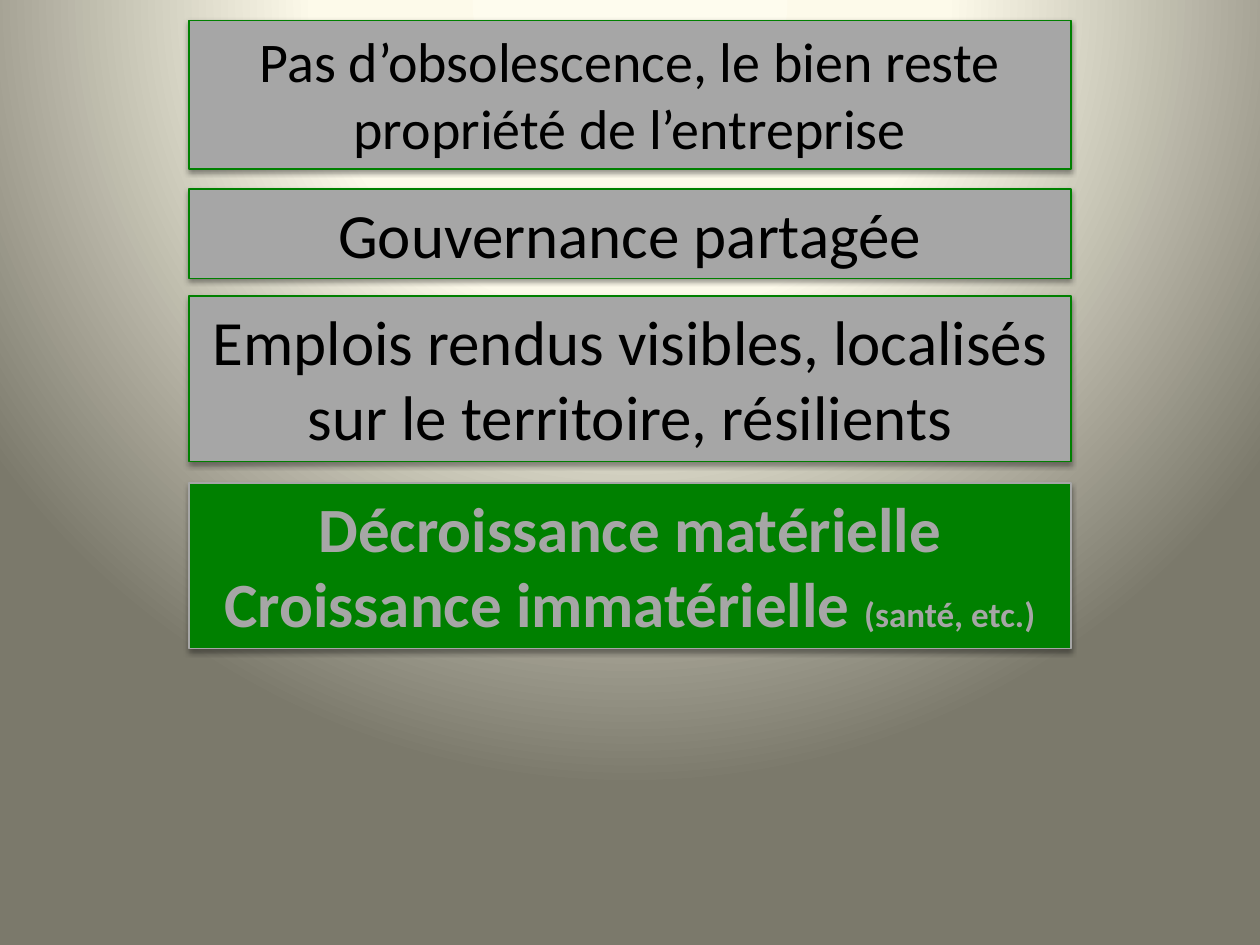
import pptx
import pptx.dml.color
import pptx.enum.shapes
import pptx.enum.text
import pptx.oxml
import pptx.oxml.ns
import pptx.util
from dataclasses import dataclass

Cm = pptx.util.Cm
Pt = pptx.util.Pt


@dataclass(frozen=True)
class Theme:
    font: str = "Calibri"
    grey: str = "A6A6A6"
    green: str = "008000"
    black: str = "000000"
    glow: tuple = ((0, "FEFCEE"), (40, "FDFAEA"), (100, "7B796B"))
    large: int = 36
    medium: int = 32
    small: int = 20


theme = Theme()
rgb = pptx.dml.color.RGBColor.from_string
namespace = pptx.oxml.ns.nsdecls("a")

deck = pptx.Presentation()
deck.slide_width, deck.slide_height = Cm(25.4), Cm(19.05)
page = deck.slides.add_slide(deck.slide_layouts[6])

# Background: a circular glow centred above the page
page.background.fill.gradient()
gradient = page.element.find(".//" + pptx.oxml.ns.qn("a:gradFill"))
stops = "".join(
    f'<a:gs pos="{position * 1000}"><a:srgbClr val="{colour}"/></a:gs>'
    for position, colour in theme.glow
)
gradient.getparent().replace(gradient, pptx.oxml.parse_xml(
    f'<a:gradFill {namespace} rotWithShape="1"><a:gsLst>{stops}</a:gsLst>'
    '<a:path path="circle"><a:fillToRect l="50000" t="-80000" r="50000" b="180000"/>'
    '</a:path></a:gradFill>'
))

# Each banner: top, height, fill, line, text colour, bold, paragraphs of (text, size)
grey_style = (theme.grey, theme.green, theme.black, False)
green_style = (theme.green, theme.grey, theme.grey, True)
banners = [
    (0.41, 3.0, grey_style,
     [[("Pas d’obsolescence, le bien reste propriété de l’entreprise", theme.medium)]]),
    (3.81, 1.8, grey_style,
     [[("Gouvernance partagée", theme.large)]]),
    (5.97, 3.33, grey_style,
     [[("Emplois rendus visibles, localisés sur le territoire, résilients", theme.large)]]),
    (9.74, 3.33, green_style,
     [[("Décroissance matérielle", theme.large)],
      [("Croissance immatérielle ", theme.large), ("(santé, etc.)", theme.small)]]),
]

for top, height, (fill, line, ink, bold), paragraphs in banners:
    box = page.shapes.add_shape(
        pptx.enum.shapes.MSO_SHAPE.RECTANGLE, Cm(3.81), Cm(top), Cm(17.78), Cm(height))
    box.fill.solid()
    box.fill.fore_color.rgb = rgb(fill)
    box.line.color.rgb = rgb(line)
    box.line.width = Pt(0.75)
    box.shadow.inherit = False
    effects = box.element.spPr.find(pptx.oxml.ns.qn("a:effectLst"))
    effects.append(pptx.oxml.parse_xml(
        f'<a:outerShdw {namespace} blurRad="{Pt(3.1)}" dist="{Pt(1.6)}" dir="5400000"'
        f' rotWithShape="0"><a:srgbClr val="{theme.black}"><a:alpha val="38000"/>'
        '</a:srgbClr></a:outerShdw>'
    ))

    frame = box.text_frame
    frame.word_wrap = True
    frame.auto_size = pptx.enum.text.MSO_AUTO_SIZE.SHAPE_TO_FIT_TEXT
    frame.vertical_anchor = pptx.enum.text.MSO_ANCHOR.TOP
    for index, spans in enumerate(paragraphs):
        para = frame.add_paragraph() if index else frame.paragraphs[0]
        para.alignment = pptx.enum.text.PP_ALIGN.CENTER
        for text, size in spans:
            span = para.add_run()
            span.text = text
            span.font.name = theme.font
            span.font.size = Pt(size)
            span.font.bold = bold
            span.font.color.rgb = rgb(ink)

deck.save("out.pptx")
